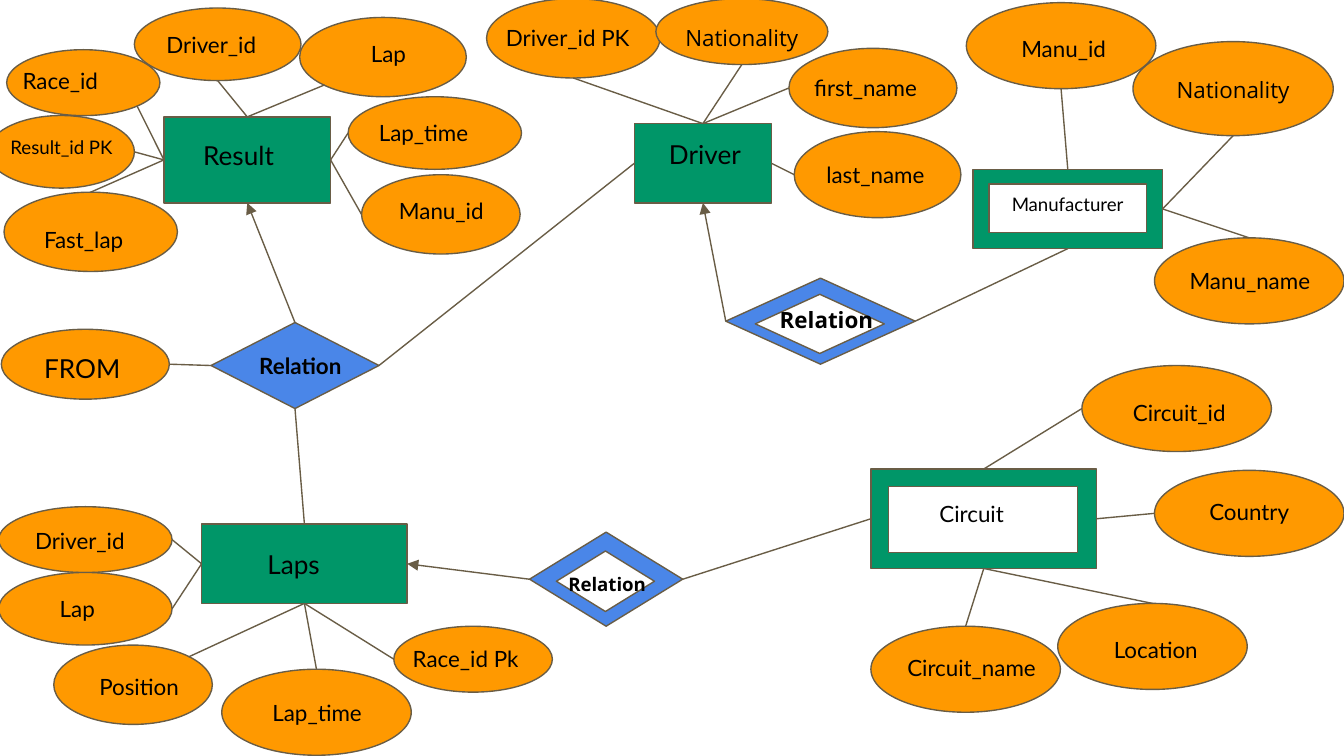
from lxml.etree import SubElement
from pptx import Presentation
from pptx.dml.color import RGBColor
from pptx.enum.shapes import MSO_CONNECTOR as Connector, MSO_SHAPE as Shape
from pptx.enum.text import PP_ALIGN as Align
from pptx.oxml.ns import qn
from pptx.util import Inches, Pt

COLORS = {"entity": "009668", "attribute": "FF9900", "relation": "4A86E8",
          "inner": "FFFFFF", "line": "695D46", "text": "000000"}
LATO, OPEN_SANS = "Lato", "Open Sans"
LEFT, CENTER = Align.LEFT, Align.CENTER
LABEL_HEIGHTS = {10: 0.37, 12: 0.4, 14: 0.44}
SITES = {"top": (0.5, 0), "left": (0, 0.5), "bottom": (0.5, 1), "right": (1, 0.5),
         "top right": (0.85, 0.15), "bottom left": (0.15, 0.85),
         "bottom right": (0.85, 0.85)}

ENTITIES = {
    "Driver": ((4.72, 0.92, 1.02, 0.59), None, ("Driver", 4.7, 0.93, 1.09, 14, CENTER)),
    "Laps": ((1.5, 3.9, 1.53, 0.59), None, ("Laps", 1.6, 3.98, 1.17, 14, CENTER)),
    "Result": ((1.22, 0.87, 1.24, 0.64), None, ("Result", 1.23, 0.94, 1.09, 14, CENTER)),
    "Manufacturer": ((7.24, 1.26, 1.41, 0.59), (7.36, 1.37, 1.17, 0.36),
                     ("Manufacturer", 7.43, 1.35, 1.06, 10, LEFT)),
    "Circuit": ((6.48, 3.49, 1.68, 0.74), (6.61, 3.62, 1.41, 0.49),
                ("Circuit", 6.71, 3.62, 1.04, 12, CENTER)),
}
RELATIONS = {
    "Result-Laps": ((1.57, 2.4, 1.25, 0.64), None,
                    ("Relation", 1.81, 2.52, 0.85, 12, CENTER, LATO, True)),
    "Driver-Manufacturer": ((5.4, 2.07, 1.41, 0.64), (5.62, 2.19, 0.96, 0.44),
                            ("Relation", 5.67, 2.18, 0.96, 12, CENTER, OPEN_SANS, True)),
    "Laps-Circuit": ((3.94, 3.96, 1.14, 0.7), (4.14, 4.1, 0.73, 0.45),
                     ("Relation", 4.13, 4.18, 0.79, 10, LEFT, OPEN_SANS, True)),
}
ATTRIBUTES = {
    "Driver": [
        ((3.62, -0.01, 1.29, 0.59), "bottom", "top", ("Driver_id PK", 3.48, 0.08, 1.49, 12, CENTER)),
        ((4.88, -0.01, 1.28, 0.49), "bottom", "top",
         ("Nationality", 4.9, 0.08, 1.24, 12, CENTER, OPEN_SANS)),
        ((5.87, 0.36, 1.25, 0.59), "left", "top", ("first_name", 5.96, 0.45, 1.02, 12, LEFT)),
        ((5.91, 0.98, 1.24, 0.64), "left", "right", ("last_name", 6.05, 1.1, 0.96, 12, LEFT)),
    ],
    "Laps": [
        ((2.93, 4.66, 1.18, 0.49), "left", "bottom", ("Race_id Pk", 2.92, 4.7, 1.09, 12, CENTER)),
        ((-0.01, 3.77, 1.29, 0.49), "right", "left", ("Driver_id", 0.01, 3.82, 1.17, 12, CENTER)),
        ((-0.01, 4.26, 1.29, 0.54), "right", "left", ("Lap", 0.15, 4.33, 0.85, 12, CENTER)),
        ((0.4, 4.8, 1.18, 0.59), "top right", "bottom", ("Position", 0.61, 4.91, 0.85, 12, CENTER)),
        ((1.65, 4.98, 1.41, 0.64), "top", "bottom", ("Lap_time", 1.84, 5.1, 1.04, 12, CENTER)),
    ],
    "Result": [
        ((-0.09, 0.86, 1.09, 0.54), "right", "left", ("Result_id PK", -0.02, 0.93, 1.04, 10, LEFT)),
        ((0.05, 0.37, 1.14, 0.49), "bottom right", "left", ("Race_id", 0.07, 0.4, 0.96, 12, LEFT)),
        ((1, 0.06, 1.24, 0.54), "bottom", "top", ("Driver_id", 1.14, 0.13, 1.18, 12, LEFT)),
        ((2.23, 0.13, 1.24, 0.59), "bottom left", "top", ("Lap", 2.52, 0.2, 0.74, 12, CENTER)),
        ((2.59, 0.72, 1.29, 0.54), "left", "right", ("Lap_time", 2.72, 0.79, 1.02, 12, LEFT)),
        ((0.03, 1.43, 1.29, 0.59), "top", "left", ("Fast_lap", 0.23, 1.58, 1.04, 12, LEFT)),
        ((2.69, 1.3, 1.18, 0.59), "left", "right", ("Manu_id", 2.87, 1.37, 0.89, 12, LEFT)),
    ],
    "Manufacturer": [
        ((8.43, 0.31, 1.49, 0.7), "bottom", "right",
         ("Nationality", 8.55, 0.47, 1.25, 12, CENTER, OPEN_SANS)),
        ((7.19, 0.02, 1.41, 0.64), "bottom", "top", ("Manu_id", 7.33, 0.16, 1.17, 12, CENTER)),
        ((8.59, 1.77, 1.41, 0.64), "top", "right", ("Manu_name", 8.71, 1.89, 1.18, 12, CENTER)),
    ],
    "Circuit": [
        ((8.05, 2.72, 1.41, 0.64), "left", "top", ("Circuit_id", 8.19, 2.87, 1.17, 12, CENTER)),
        ((6.48, 4.66, 1.41, 0.64), "top", "bottom", ("Circuit_name", 6.61, 4.77, 1.24, 12, CENTER)),
        ((8.59, 3.5, 1.41, 0.64), "left", "right", ("Country", 8.75, 3.61, 1.09, 12, CENTER)),
        ((7.87, 4.49, 1.41, 0.64), "top", "bottom", ("Location", 8.03, 4.63, 1.14, 12, CENTER)),
    ],
    "Result-Laps": [
        ((0.01, 2.45, 1.25, 0.52), "right", "left", ("FROM", 0.23, 2.52, 0.85, 14, LEFT)),
    ],
}
LINKS = [
    ("Result-Laps", "top", "Result", "bottom", True),
    ("Result-Laps", "right", "Driver", "left", False),
    ("Result-Laps", "bottom", "Laps", "top", False),
    ("Driver-Manufacturer", "left", "Driver", "bottom", True),
    ("Driver-Manufacturer", "right", "Manufacturer", "bottom", False),
    ("Laps-Circuit", "left", "Laps", "right", True),
    ("Laps-Circuit", "right", "Circuit", "left", False),
]


def color(name):
    return RGBColor.from_string(COLORS[name])


def site_point(box, site):
    left, top, width, height = box
    across, down = SITES[site]
    return Inches(left + across * width), Inches(top + down * height)


def add_node(slide, kind, box, fill):
    shape = slide.shapes.add_shape(kind, *map(Inches, box))
    shape.shadow.inherit = False
    shape.fill.solid()
    shape.fill.fore_color.rgb = color(fill)
    shape.line.color.rgb = color("line")
    shape.line.width = Pt(0.75)


def add_line(slide, start, end, arrow=False):
    connector = slide.shapes.add_connector(Connector.STRAIGHT, *start, *end)
    connector.line.color.rgb = color("line")
    connector.line.width = Pt(0.75)
    properties = connector._element.spPr
    if arrow:
        SubElement(properties.find(qn("a:ln")), qn("a:tailEnd"), type="triangle")
    SubElement(properties, qn("a:effectLst"))


def add_label(slide, text, left, top, width, size, align, font=LATO, bold=False):
    box = (left, top, width, LABEL_HEIGHTS[size])
    text_frame = slide.shapes.add_textbox(*map(Inches, box)).text_frame
    text_frame.word_wrap = True
    text_frame.margin_left = text_frame.margin_right = Inches(0.1)
    text_frame.margin_top = text_frame.margin_bottom = Inches(0.1)
    text_frame.text = text
    paragraph = text_frame.paragraphs[0]
    paragraph.alignment = align
    run_font = paragraph.runs[0].font
    run_font.name, run_font.size, run_font.bold = font, Pt(size), bold
    run_font.color.rgb = color("text")


def main():
    """Build the entity-relationship diagram slide."""
    presentation = Presentation()
    presentation.slide_width = Inches(10)
    presentation.slide_height = Inches(10 * 9 / 16)
    slide = presentation.slides.add_slide(presentation.slide_layouts[6])
    nodes = {**ENTITIES, **RELATIONS}
    attributes = [(owner, *row) for owner, rows in ATTRIBUTES.items() for row in rows]

    for group, kind, fill in ((ENTITIES, Shape.RECTANGLE, "entity"),
                              (RELATIONS, Shape.FLOWCHART_DECISION, "relation")):
        for box, inner, label in group.values():
            add_node(slide, kind, box, fill)
            if inner:
                add_node(slide, kind, inner, "inner")
    for owner, box, own_site, owner_site, label in attributes:
        add_node(slide, Shape.OVAL, box, "attribute")
    for owner, box, own_site, owner_site, label in attributes:
        add_line(slide, site_point(box, own_site), site_point(nodes[owner][0], owner_site))
    for relation, relation_site, entity, entity_site, arrow in LINKS:
        add_line(slide, site_point(nodes[relation][0], relation_site),
                 site_point(nodes[entity][0], entity_site), arrow)
    for row in [*nodes.values(), *attributes]:
        add_label(slide, *row[-1])
    presentation.save("out.pptx")


if __name__ == "__main__":
    main()
